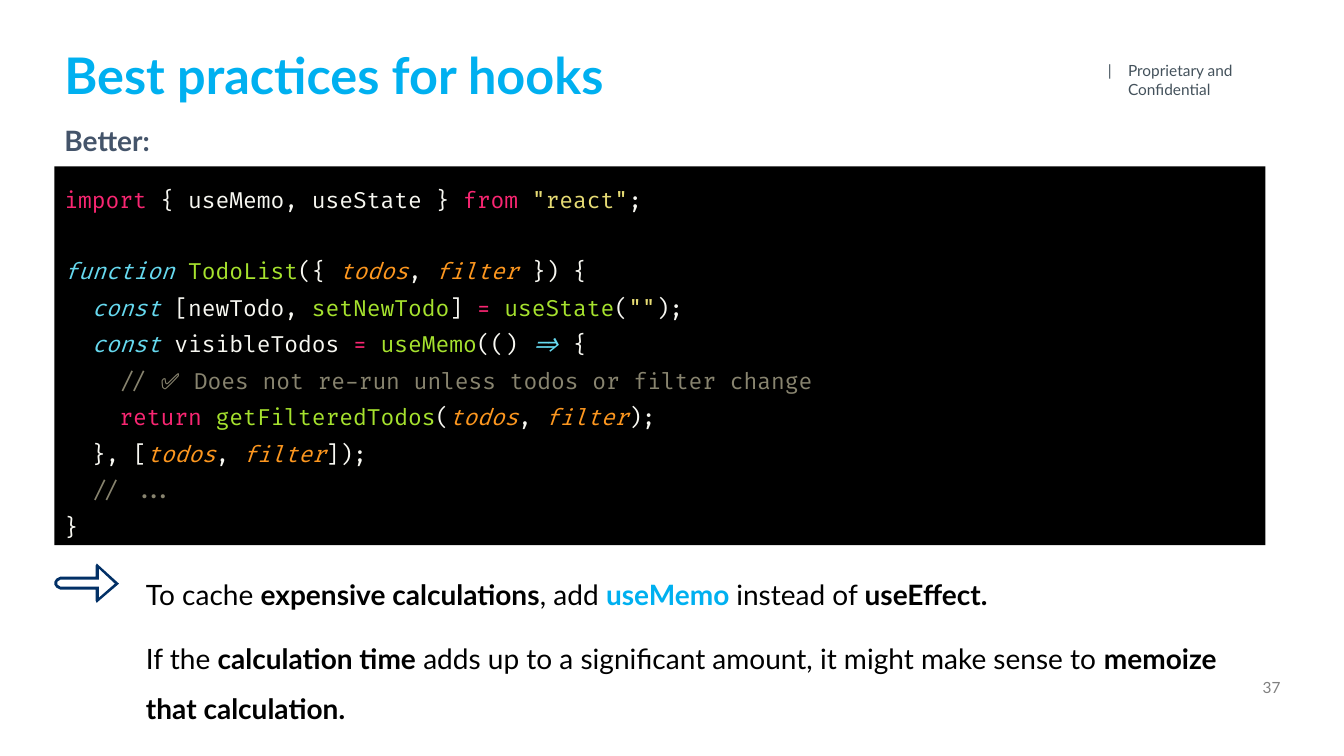
from pptx import Presentation
from pptx.dml.color import RGBColor
from pptx.enum.shapes import MSO_SHAPE
from pptx.enum.text import MSO_ANCHOR, PP_ALIGN
from pptx.util import Inches, Pt

LEFT, RIGHT = PP_ALIGN.LEFT, PP_ALIGN.RIGHT
TOP = MSO_ANCHOR.TOP
RECT = MSO_SHAPE.RECTANGLE
SKY, SLATE, NAVY, BLACK = "00B0F0", "44546A", "023066", "000000"
PINK, WHITE, GOLD, CYAN = "F92672", "F8F8F2", "E6DB74", "66D9EF"
GREEN, AMBER, DIM = "A6E22E", "FD971F", "88846F"


def color(text):
    return RGBColor.from_string(text)


def write(shape, lines, font, size, space, gap=0, align=LEFT):
    frame = shape.text_frame
    frame.word_wrap = True
    frame.vertical_anchor = TOP
    for row, line in enumerate(lines):
        para = frame.paragraphs[0] if row == 0 else frame.add_paragraph()
        para.alignment = align
        para.line_spacing = space
        if row and gap:
            para.space_before = Pt(gap)
        for text, tint, bold, slant in line:
            run = para.add_run()
            run.text = text
            run.font.name = font
            run.font.size = Pt(size)
            run.font.bold = bold
            run.font.italic = slant
            run.font.color.rgb = color(tint)


deck = Presentation()
deck.slide_width = Inches(13.33)
deck.slide_height = Inches(7.5)
slide = deck.slides.add_slide(deck.slide_layouts[6])
shapes = slide.shapes

labels = [
    ("|\tProprietary and Confidential", 10.46, 0.56, 2.29, 0.29, 11, "43515B", False, 1, LEFT),
    ("37", 10.48, 6.68, 2.32, 0.29, 11, "7F7F7F", False, 1, RIGHT),
    ("Best practices for hooks", 0.54, 0.46, 5.87, 0.75, 36, SKY, True, 0.9, LEFT),
    ("Better:", 0.54, 1.21, 9.01, 0.89, 20, SLATE, True, 0.9, LEFT),
]
boxes = []
for text, left, top, wide, high, size, tint, bold, space, align in labels:
    box = shapes.add_textbox(Inches(left), Inches(top), Inches(wide), Inches(high))
    write(box, [[(text, tint, bold, False)]], "Lato", size, space, align=align)
    boxes.append(box)
props = boxes[0].text_frame.paragraphs[0]._p.get_or_add_pPr()
props.set("marL", str(Inches(0.63)))
props.set("indent", str(Inches(-0.2)))

code = [
    [("import", PINK), (" { useMemo, useState } ", WHITE), ("from ", PINK),
     ('"react"', GOLD), (";", WHITE)],
    [("function ", CYAN), ("TodoList", GREEN), ("({ ", WHITE), ("todos", AMBER),
     (", ", WHITE), ("filter", AMBER), (" }) {", WHITE)],
    [("  ", WHITE), ("const", CYAN), (" [newTodo, ", WHITE), ("setNewTodo", GREEN),
     ("] ", WHITE), ("= ", PINK), ("useState", GREEN), ("(", WHITE),
     ('""', GOLD), (");", WHITE)],
    [("  ", WHITE), ("const", CYAN), (" visibleTodos ", WHITE), ("= ", PINK),
     ("useMemo", GREEN), ("(() ", WHITE), ("=>", CYAN), (" {", WHITE)],
    [("    ", WHITE), ("// ✅ Does not re-run unless todos or filter change", DIM)],
    [("    ", WHITE), ("return ", PINK), ("getFilteredTodos", GREEN), ("(", WHITE),
     ("todos", AMBER), (", ", WHITE), ("filter", AMBER), (");", WHITE)],
    [("  }, [", WHITE), ("todos", AMBER), (", ", WHITE), ("filter", AMBER), ("]);", WHITE)],
    [("  ", WHITE), ("// ...", DIM)],
    [("}", WHITE)],
]
panel = shapes.add_shape(RECT, Inches(0.54), Inches(1.65), Inches(12.01), Inches(3.76))
panel.shadow.inherit = False
panel.fill.solid()
panel.fill.fore_color.rgb = color(BLACK)
panel.line.fill.background()
frame = panel.text_frame
frame.margin_top = frame.margin_bottom = Inches(0.1)
lines = [[(text, tint, False, tint in (CYAN, AMBER)) for text, tint in line] for line in code]
write(panel, lines, "Fira Code", 16, 1.36)
frame.paragraphs[1].space_before = Pt(25)

advice = [
    [("To cache ", BLACK, False), ("expensive calculations", BLACK, True),
     (", add ", BLACK, False), ("useMemo ", SKY, True),
     ("instead of ", BLACK, False), ("useEffect.", BLACK, True)],
    [("If the ", BLACK, False), ("calculation time", BLACK, True),
     (" adds up to a significant amount, it might make sense to ", BLACK, False),
     ("memoize that calculation.", BLACK, True)],
]
notes = shapes.add_textbox(Inches(1.35), Inches(5.51), Inches(10.84), Inches(1.69))
lines = [[(*part, False) for part in line] for line in advice]
write(notes, lines, "Lato", 20, 1.5, gap=10)

outer = [(118, 579), (97, 560), (96, 559), (95, 561), (95, 572),
         (60, 572), (56, 574), (54, 577), (54, 580), (56, 583),
         (60, 585), (95, 585), (95, 596), (96, 598), (97, 597)]
inner = [(98, 593), (98, 582), (60, 582), (57, 580), (57, 577),
         (60, 575), (98, 575), (98, 564), (114, 579)]
path = shapes.build_freeform(*outer[0], scale=Inches(0.01))
path.add_line_segments(outer[1:], close=True)
path.move_to(*inner[0])
path.add_line_segments(inner[1:], close=True)
arrow = path.convert_to_shape()
arrow.shadow.inherit = False
arrow.fill.solid()
arrow.fill.fore_color.rgb = color(NAVY)
arrow.line.fill.background()

deck.save("out.pptx")
